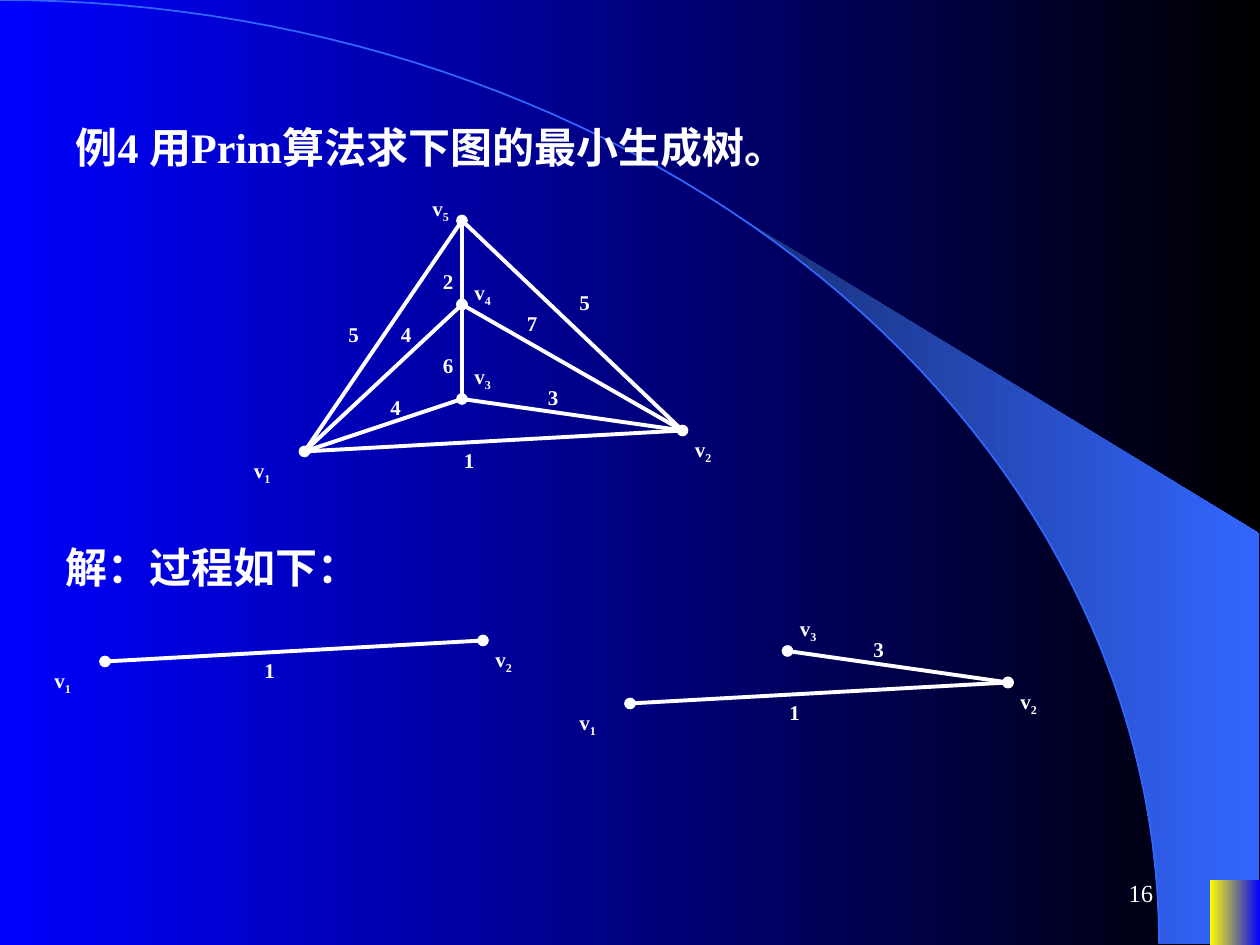
from math import cos, radians, sin

from lxml.etree import SubElement
from pptx import Presentation
from pptx.dml.color import RGBColor
from pptx.enum.shapes import MSO_CONNECTOR, MSO_SHAPE
from pptx.enum.text import MSO_ANCHOR, PP_ALIGN
from pptx.oxml.ns import qn
from pptx.util import Inches, Pt

COLORS = {
    "text": "FFFFFF", "blue": "0000FF", "black": "000000",
    "sky": "3366FF", "navy": "182F76", "yellow": "FFFF00",
}
FONT = "Times New Roman"
COLUMNS, ROWS = 120, 90
ARC_WIDTH, ARC_HEIGHT = 110.4, 89.9

# Vertex: position, then offset of its label (columns, rows)
VERTICES = {
    "v1": ((29, 43), (-6, 0)),
    "v2": ((65, 41), (0, 0)),
    "v3": ((44, 38), (0, -4)),
    "v4": ((44, 29), (0, -3)),
    "v5": ((44, 21), (-4, -3)),
}
# Edge: weight, then position of the weight
EDGES = {
    ("v1", "v2"): ("1", (43, 42)),
    ("v5", "v4"): ("2", (41, 25)),
    ("v4", "v3"): ("6", (41, 33)),
    ("v5", "v1"): ("5", (32, 30)),
    ("v5", "v2"): ("5", (54, 27)),
    ("v3", "v1"): ("4", (36, 37)),
    ("v4", "v1"): ("4", (37, 30)),
    ("v3", "v2"): ("3", (51, 36)),
    ("v4", "v2"): ("7", (49, 29)),
}


def color(name):
    return RGBColor.from_string(COLORS[name])


def shift(point, offset):
    return point[0] + offset[0], point[1] + offset[1]


def arc_points(start, end, steps):
    """Points of the quarter ellipse between two angles in degrees."""
    angles = [radians(start + (end - start) * i / steps) for i in range(steps + 1)]
    return [(ARC_WIDTH * cos(a), ARC_HEIGHT * (1 - sin(a))) for a in angles]


class SlideBuilder:
    """Draws on one slide, with lengths in columns and rows."""

    def __init__(self, deck):
        self.page = deck.slides.add_slide(deck.slide_layouts[6])
        self.shapes = self.page.shapes
        self.column = deck.slide_width / COLUMNS
        self.row = deck.slide_height / ROWS

    def place(self, point):
        return round(point[0] * self.column), round(point[1] * self.row)

    def gradient(self, fill, first, last):
        fill.gradient()
        fill.gradient_angle = 0
        for stop, name, position in zip(fill.gradient_stops, (first, last), (0, 1)):
            stop.color.rgb = color(name)
            stop.position = position

    def background(self, first, last):
        self.gradient(self.page.background.fill, first, last)

    def outline(self, points, close):
        start, *others = [self.place(point) for point in points]
        builder = self.shapes.build_freeform(*start)
        builder.add_line_segments(others, close=close)
        shape = builder.convert_to_shape()
        shape.shadow.inherit = False
        return shape

    def swoosh(self):
        corners = [(119.9, ARC_HEIGHT), (119.9, 50.8)]
        shape = self.outline(arc_points(50.2, 0, 16) + corners, close=True)
        self.gradient(shape.fill, "navy", "sky")
        shape.line.fill.background()

    def arc(self):
        shape = self.outline(arc_points(90, 0, 60), close=False)
        shape.fill.background()
        shape.line.color.rgb = color("sky")
        shape.line.width = Pt(1)

    def block(self, point, size, first, last):
        shape = self.shapes.add_shape(
            MSO_SHAPE.RECTANGLE, *self.place(point), *self.place(size))
        shape.shadow.inherit = False
        self.gradient(shape.fill, first, last)
        shape.line.fill.background()

    def text(self, point, size, words, points, bold=True):
        box = self.shapes.add_textbox(*self.place(point), *self.place(size))
        frame = box.text_frame
        frame.word_wrap = True
        frame.text = words
        para = frame.paragraphs[0]
        para.font.size = Pt(points)
        for span in para.runs:
            self.style(span, points, bold)
        return frame

    def style(self, span, points, bold=True):
        span.font.name = FONT
        span.font.size = Pt(points)
        span.font.bold = bold
        span.font.color.rgb = color("text")

    def heading(self, point, words):
        frame = self.text(point, (99, 6), words, 24)
        frame.margin_left = Pt(13.2)

    def page_number(self, number):
        frame = self.text((86, 82), (25, 6), number, 14, bold=False)
        frame.vertical_anchor = MSO_ANCHOR.MIDDLE
        frame.paragraphs[0].alignment = PP_ALIGN.RIGHT

    def vertex_label(self, point, name):
        frame = self.text(point, (6.2, 4), name[0], 12)
        index = frame.paragraphs[0].add_run()
        index.text = name[1:]
        self.style(index, 12)
        index.font._element.set("baseline", "-25000")

    def edge(self, start, end, dotted):
        line = self.shapes.add_connector(
            MSO_CONNECTOR.STRAIGHT, *self.place(start), *self.place(end))
        line.line.color.rgb = color("text")
        line.line.width = Pt(2.25)
        if dotted:
            for tag in ("a:headEnd", "a:tailEnd"):
                SubElement(line.line._get_or_add_ln(), qn(tag), type="oval")
        SubElement(line._element.spPr, qn("a:effectLst"))

    def graph(self, edges, offset=(0, 0)):
        """Draw the edges as one group; dots mark each vertex first reached."""
        self.shapes = self.page.shapes.add_group_shape().shapes
        reached = set()
        for ends in edges:
            start, end = [shift(VERTICES[name][0], offset) for name in ends]
            self.edge(start, end, dotted=not reached.issuperset(ends))
            reached.update(ends)
        for ends in edges:
            weight, point = EDGES[ends]
            self.text(shift(point, offset), (4.2, 3.6), weight, 12)
        for name in sorted(reached):
            point, label_offset = VERTICES[name]
            self.vertex_label(shift(shift(point, label_offset), offset), name)
        self.shapes = self.page.shapes


def main():
    deck = Presentation()
    deck.slide_width, deck.slide_height = Inches(10), Inches(7.5)
    slide = SlideBuilder(deck)

    slide.background("blue", "black")
    slide.swoosh()
    slide.arc()
    slide.block((115.2, 83.8), (4.8, 6.2), "yellow", "blue")
    slide.page_number("16")

    slide.heading((5, 11), "例4 用Prim算法求下图的最小生成树。")
    slide.graph(list(EDGES))
    slide.heading((4, 51), "解：过程如下：")
    slide.graph([("v1", "v2")], offset=(-19, 20))
    slide.graph([("v1", "v2"), ("v3", "v2")], offset=(31, 24))

    deck.save("out.pptx")


if __name__ == "__main__":
    main()
